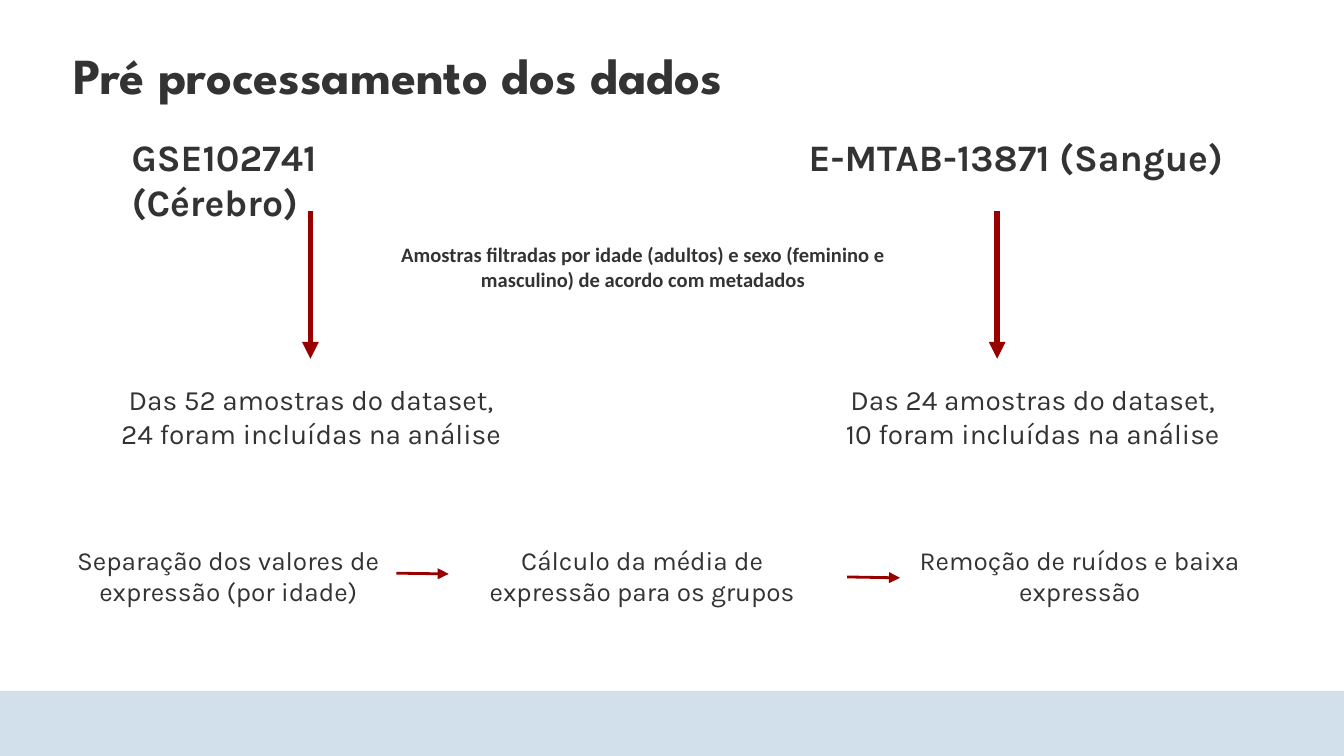
from lxml.etree import SubElement
from pptx import Presentation
from pptx.dml.color import RGBColor
from pptx.enum.shapes import MSO_CONNECTOR as Connector, MSO_SHAPE as Shape
from pptx.enum.text import MSO_ANCHOR as Anchor, PP_ALIGN as Align
from pptx.oxml.ns import qn
from pptx.util import Pt

COLORS = {"text": "333333", "arrow": "980000", "band": "D2E0EC"}
INSET = 7.2


def color(name):
    """Return the named palette colour."""
    return RGBColor.from_string(COLORS[name])


def add_text(slide, box, text, size, font="Karla", bold=False,
             align=Align.CENTER, anchor=Anchor.TOP):
    """Place one wrapped paragraph in a box of points."""
    shape = slide.shapes.add_textbox(*map(Pt, box))
    frame = shape.text_frame
    frame.word_wrap = True
    frame.vertical_anchor = anchor
    frame.margin_left = frame.margin_right = Pt(INSET)
    frame.margin_top = frame.margin_bottom = Pt(INSET)
    paragraph = frame.paragraphs[0]
    paragraph.alignment = align
    run = paragraph.add_run()
    run.text = text
    run.font.name = font
    run.font.size = Pt(size)
    run.font.bold = bold
    run.font.color.rgb = color("text")
    return shape


def add_arrow(slide, start, end, weight):
    """Draw a straight arrow between two points."""
    arrow = slide.shapes.add_connector(
        Connector.STRAIGHT, *map(Pt, (*start, *end)))
    arrow.line.color.rgb = color("arrow")
    arrow.line.width = Pt(weight)
    line = arrow.line._get_or_add_ln()
    SubElement(line, qn("a:tailEnd"), type="triangle")
    SubElement(arrow._element.spPr, qn("a:effectLst"))
    return arrow


def add_heading(slide, box):
    """Place the slide heading."""
    add_text(slide, box, "Pré processamento dos dados", 27, "League Spartan",
             True, Align.JUSTIFY, Anchor.MIDDLE)


def add_dataset(slide, box, name, name_left, name_width, arrow_x, result):
    """Place a dataset name, its arrow and the resulting sample count."""
    left, top, width, height = box
    add_text(slide, (left + name_left, top, name_width, 45.4), name, 20,
             bold=True, align=Align.LEFT)
    add_arrow(slide, (left + arrow_x, top + 48.2),
              (left + arrow_x, top + 127.4), 3)
    add_text(slide, (left, top + height - 50.4, width, 50.4), result, 15)


def add_filter_note(slide, box):
    """Place the note on how the samples were filtered."""
    add_text(slide, box, "Amostras filtradas por idade (adultos) e sexo "
             "(feminino e masculino) de acordo com metadados", 11,
             "Calibri", True)


def add_steps(slide, box):
    """Place the three processing steps and the arrows between them."""
    left, top, width, height = box
    steps = (
        ("Separação dos valores de expressão (por idade)", 0, 180),
        ("Cálculo da média de expressão para os grupos", 205.9, 211.7),
        ("Remoção de ruídos e baixa expressão", width - 218.2, 218.2),
    )
    first, *_ = [add_text(slide, (left + offset, top, step_width, height),
                          text, 14) for text, offset, step_width in steps]
    middle = top + height / 2
    arrow = add_arrow(slide, (left + 180, middle),
                      (left + 208, middle + 0.4), 1.5)
    arrow.begin_connect(first, 3)
    add_arrow(slide, (left + 421.4, middle + 2),
              (left + 449.8, middle + 2.5), 1.5)


def add_band(slide, box):
    """Draw the plain band at the foot of the slide."""
    band = slide.shapes.add_shape(Shape.RECTANGLE, *map(Pt, box))
    band.shadow.inherit = False
    band.fill.solid()
    band.fill.fore_color.rgb = color("band")
    band.line.fill.background()


def main():
    """Build and save the slide."""
    presentation = Presentation()
    presentation.slide_width = Pt(720)
    presentation.slide_height = Pt(405)
    slide = presentation.slides.add_slide(presentation.slide_layouts[6])
    add_band(slide, (0, 370.2, 720, 34.8))
    add_heading(slide, (32.4, 17.3, 594.7, 45.4))
    add_dataset(slide, (57.6, 64.8, 218.2, 183.6), "GSE102741 (Cérebro)",
                5.8, 206, 108.7,
                "Das 52 amostras do dataset, 24 foram incluídas na análise")
    add_dataset(slide, (444.2, 64.8, 218.2, 183.6), "E-MTAB-13871 (Sangue)",
                -18, 254.2, 90,
                "Das 24 amostras do dataset, 10 foram incluídas na análise")
    add_filter_note(slide, (200.9, 122.4, 287.3, 50.4))
    add_steps(slide, (32.4, 284.4, 655.2, 45.4))
    presentation.save("out.pptx")


if __name__ == "__main__":
    main()
